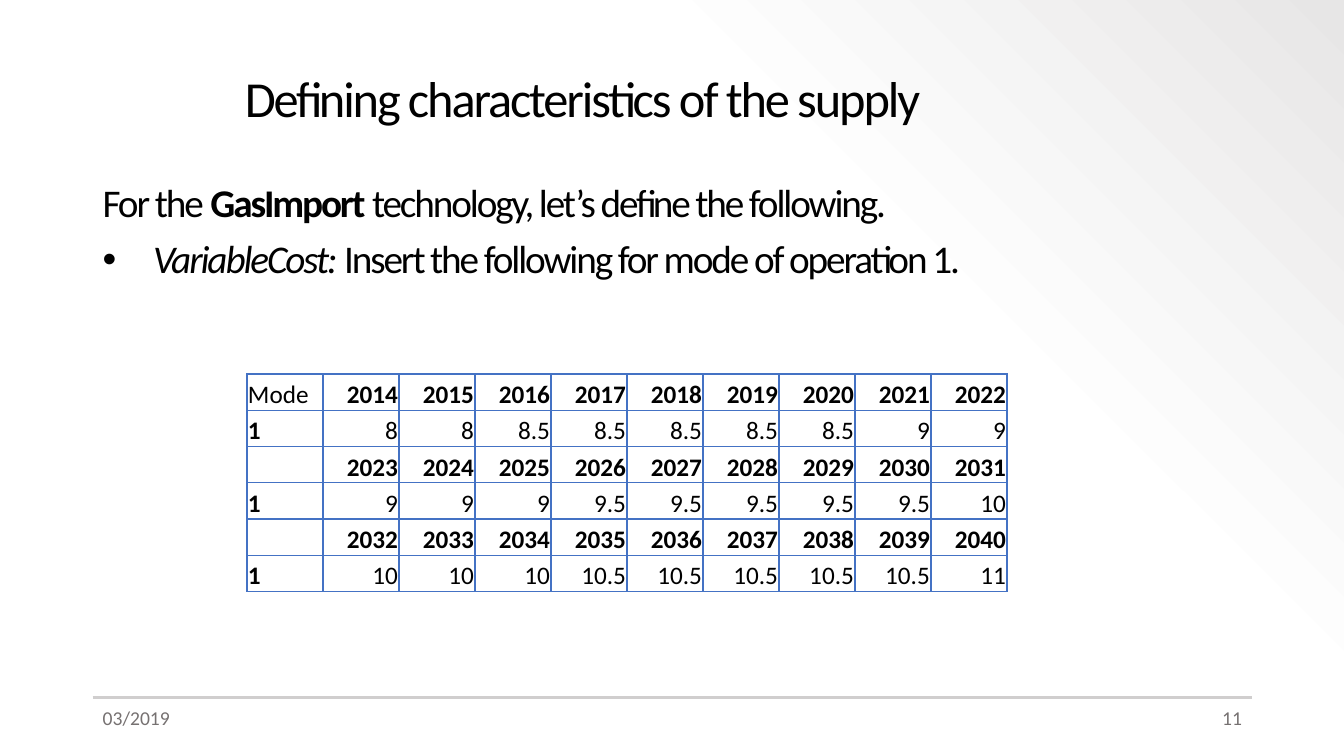
from dataclasses import dataclass
from typing import Optional

from lxml import etree
from pptx import Presentation
from pptx.dml.color import RGBColor
from pptx.enum.shapes import MSO_CONNECTOR
from pptx.enum.text import MSO_ANCHOR, PP_ALIGN
from pptx.oxml import parse_xml
from pptx.oxml.ns import nsdecls, qn
from pptx.util import Pt

COLORS = {
    "text": "000000",
    "footer": "767171",
    "rule": "D0CECE",
    "border": "4472C4",
    "bg_start": "FFFFFF",
    "bg_middle": "FDFDFD",
    "bg_end": "E7E6E6",
}
FONT = "Calibri"
COST_ROWS = [
    (2014, ["8", "8", "8.5", "8.5", "8.5", "8.5", "8.5", "9", "9"]),
    (2023, ["9", "9", "9", "9.5", "9.5", "9.5", "9.5", "9.5", "10"]),
    (2032, ["10", "10", "10", "10.5", "10.5", "10.5", "10.5", "10.5", "11"]),
]


@dataclass
class Run:
    text: str
    bold: bool = False
    italic: bool = False


@dataclass
class Para:
    runs: list[Run]
    bullet: bool = False
    before: Optional[float] = None


@dataclass
class Box:
    left: float
    top: float
    width: float
    height: float
    paras: list[Para]
    size: float
    color: str = "text"
    align: PP_ALIGN = PP_ALIGN.LEFT
    anchor: MSO_ANCHOR = MSO_ANCHOR.TOP
    line_spacing: float = 1.0
    tracking: float = 0


BOXES = [
    Box(66.24, 127.44, 828, 358.56, [
        Para([Run("For the "), Run("GasImport ", bold=True),
              Run("technology, let’s define the following.")]),
        Para([Run("VariableCost: ", italic=True),
              Run("Insert the following for mode of operation 1.")],
             bullet=True, before=10),
    ], 28, line_spacing=0.9, tracking=-1.5),
    Box(167.76, 28.8, 725.76, 86.4,
        [Para([Run("Defining characteristics of the supply")])],
        36, anchor=MSO_ANCHOR.MIDDLE, line_spacing=0.9, tracking=-1.5),
    Box(66.24, 500.4, 93.6, 28.8, [Para([Run("03/2019")])], 14, "footer"),
    Box(800.64, 500.4, 93.6, 28.8, [Para([Run("11")])], 14, "footer",
        PP_ALIGN.RIGHT),
]


def format_run(r, size: float, color: str, bold: bool, italic: bool = False) -> None:
    r.font.name = FONT
    r.font.size = Pt(size)
    r.font.bold = bold
    r.font.italic = italic
    r.font.color.rgb = RGBColor.from_string(COLORS[color])


def add_bullet(p) -> None:
    pPr = p._p.get_or_add_pPr()
    pPr.set("marL", str(Pt(36)))
    pPr.set("indent", str(-Pt(36)))
    etree.SubElement(pPr, qn("a:buFont")).set("typeface", "Arial")
    etree.SubElement(pPr, qn("a:buChar")).set("char", "•")


def add_box(s, box: Box) -> None:
    sp = s.shapes.add_textbox(Pt(box.left), Pt(box.top), Pt(box.width), Pt(box.height))
    tf = sp.text_frame
    tf.word_wrap = True
    tf.vertical_anchor = box.anchor
    for i, para in enumerate(box.paras):
        p = tf.add_paragraph() if i else tf.paragraphs[0]
        if para.bullet:
            add_bullet(p)
        p.alignment = box.align
        p.line_spacing = box.line_spacing
        if para.before is not None:
            p.space_before = Pt(para.before)
        for run in para.runs:
            r = p.add_run()
            r.text = run.text
            format_run(r, box.size, box.color, run.bold, run.italic)
            if box.tracking:
                r._r.get_or_add_rPr().set("spc", str(int(box.tracking * 100)))


def set_background(s) -> None:
    s.background.fill.solid()
    bgPr = s.background._cSld.bg.bgPr
    solid = bgPr.find(qn("a:solidFill"))
    bgPr.replace(solid, parse_xml(
        f'<a:gradFill {nsdecls("a")} rotWithShape="1"><a:gsLst>'
        f'<a:gs pos="0"><a:srgbClr val="{COLORS["bg_start"]}"/></a:gs>'
        f'<a:gs pos="69000"><a:srgbClr val="{COLORS["bg_middle"]}"/></a:gs>'
        f'<a:gs pos="100000"><a:srgbClr val="{COLORS["bg_end"]}">'
        '<a:alpha val="50000"/></a:srgbClr></a:gs>'
        '</a:gsLst><a:lin ang="18900000" scaled="0"/></a:gradFill>'))


def add_rule(s) -> None:
    line = s.shapes.add_connector(
        MSO_CONNECTOR.STRAIGHT, Pt(66.24), Pt(498.24), Pt(894.24), Pt(498.24))
    line.line.color.rgb = RGBColor.from_string(COLORS["rule"])
    line.line.width = Pt(1.5)
    etree.SubElement(line._element.spPr, qn("a:effectLst"))


def set_borders(cell) -> None:
    tcPr = cell._tc.get_or_add_tcPr()
    for i, side in enumerate(("lnL", "lnR", "lnT", "lnB")):
        tcPr.insert(i, parse_xml(
            f'<a:{side} {nsdecls("a")} w="{Pt(1)}"><a:solidFill>'
            f'<a:srgbClr val="{COLORS["border"]}"/></a:solidFill></a:{side}>'))


def fill_cell(cell, text: str, bold: bool, align: PP_ALIGN) -> None:
    cell.fill.background()
    set_borders(cell)
    cell.vertical_anchor = MSO_ANCHOR.BOTTOM
    cell.margin_left = cell.margin_right = cell.margin_top = Pt(0.75)
    cell.margin_bottom = Pt(0)
    p = cell.text_frame.paragraphs[0]
    p.text = text
    p.alignment = align
    for r in p.runs:
        format_run(r, 18, "text", bold)


def add_cost_table(s) -> None:
    rows: list[list[str]] = []
    for first_year, costs in COST_ROWS:
        years = [str(first_year + i) for i in range(len(costs))]
        rows += [["" if rows else "Mode"] + years, ["1"] + costs]
    n_rows, n_cols = len(rows), len(rows[0])
    frame = s.shapes.add_table(
        n_rows, n_cols, Pt(176.4), Pt(267.12), Pt(542.9), Pt(155.52))
    table = frame.table
    table.first_row = table.horz_banding = False
    for col in table.columns:
        col.width = Pt(54.29)
    for i, values in enumerate(rows):
        table.rows[i].height = Pt(25.92)
        for j, text in enumerate(values):
            bold = (i % 2 == 0) != (j == 0)
            align = PP_ALIGN.RIGHT if j else PP_ALIGN.LEFT
            fill_cell(table.cell(i, j), text, bold, align)


def main() -> None:
    prs = Presentation()
    prs.slide_width, prs.slide_height = Pt(960), Pt(540)
    s = prs.slides.add_slide(prs.slide_layouts[6])
    set_background(s)
    add_rule(s)
    add_cost_table(s)
    for box in BOXES:
        add_box(s, box)
    prs.save("out.pptx")


if __name__ == "__main__":
    main()
